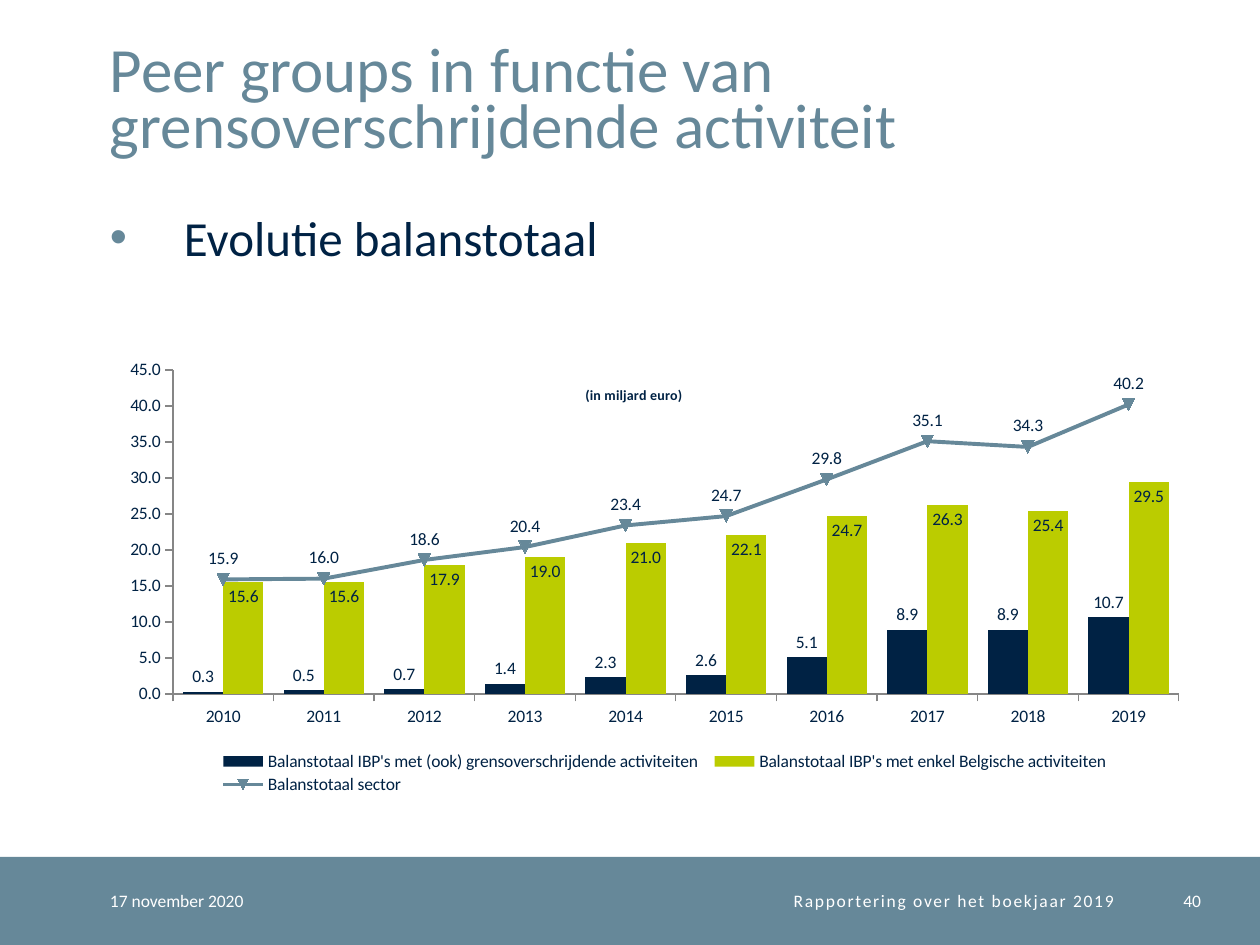
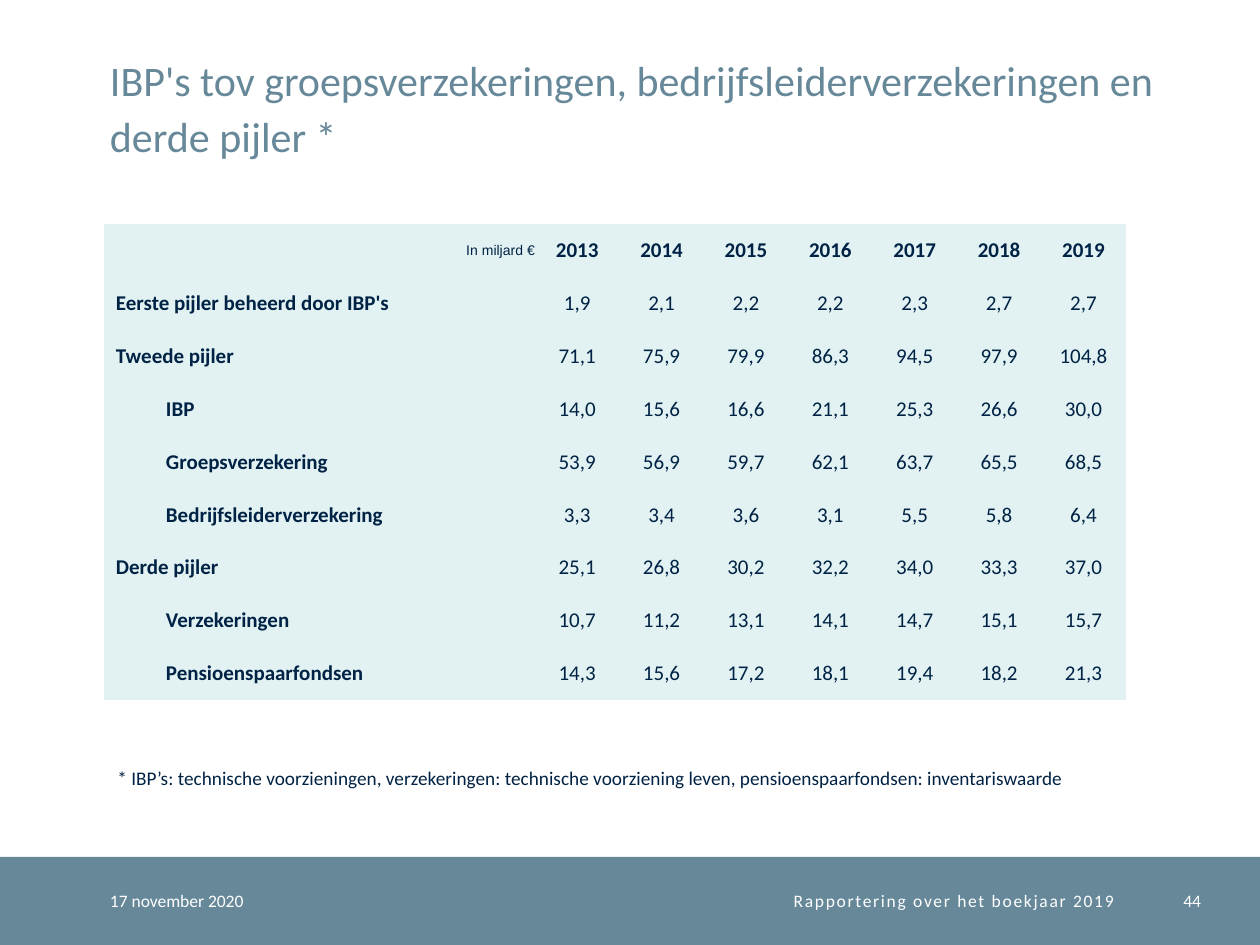
"""Build two slides on the balance totals of Belgian pension institutions."""
import pptx
import pptx.chart.data
import pptx.dml.color
import pptx.enum.chart
import pptx.enum.shapes
import pptx.enum.text
import pptx.oxml
import pptx.oxml.ns
import pptx.util

SLATE, NAVY, LIME, MINT, WHITE, GREY = "668899", "002244", "BBCC00", "E2F2F3", "FFFFFF", "868686"
SLIDE_SIZE = (1260, 945)
BAND = (0, 857, 1260, 88)
TITLE_BOX = (110, 25, 1087, 136)
BODY_BOX = (59, 212, 1138, 583)
CHART_BOX = (110, 304, 1091, 496)
PLOT_BOX = (173, 370, 1006, 324)
CHART_TITLE_AT = (583, 383)
LEGEND_BOX = (212, 748, 905, 50)
TABLE_BOX = (104, 224, 1022, 476)
LABEL_WIDTH = 431
NOTE_BOX = (105, 760, 1052, 37)

ALIGN = pptx.enum.text.PP_ALIGN
ANCHOR = pptx.enum.text.MSO_ANCHOR
POSITION = pptx.enum.chart.XL_LABEL_POSITION
qn = pptx.oxml.ns.qn

DATE = "17 november 2020"
REPORT = "Rapportering over het boekjaar 2019"

CHART_SLIDE = {
    "title": "Peer groups in functie van grensoverschrijdende activiteit",
    "bullet": "Evolutie balanstotaal",
    "unit": "(in miljard euro)",
    "years": [str(year) for year in range(2010, 2020)],
    "page": "40",
}
SERIES = [
    ("Balanstotaal IBP's met (ook) grensoverschrijdende activiteiten", NAVY, POSITION.OUTSIDE_END,
     [0.3, 0.5, 0.7, 1.4, 2.3, 2.6, 5.1, 8.9, 8.9, 10.7]),
    ("Balanstotaal IBP's met enkel Belgische activiteiten", LIME, POSITION.INSIDE_END,
     [15.6, 15.6, 17.9, 19, 21, 22.1, 24.7, 26.3, 25.4, 29.5]),
    ("Balanstotaal sector", SLATE, POSITION.ABOVE,
     [15.9, 16, 18.6, 20.4, 23.4, 24.7, 29.8, 35.1, 34.3, 40.2]),
]

TABLE_SLIDE = {
    "title": "IBP's tov groepsverzekeringen, bedrijfsleiderverzekeringen en derde pijler *",
    "note": "* IBP’s: technische voorzieningen, verzekeringen: technische voorziening leven, "
            "pensioenspaarfondsen: inventariswaarde",
    "page": "44",
}
TABLE_ROWS = [
    (0, "In miljard €", "2013 2014 2015 2016 2017 2018 2019"),
    (0, "Eerste pijler beheerd door IBP's", "1,9 2,1 2,2 2,2 2,3 2,7 2,7"),
    (0, "Tweede pijler", "71,1 75,9 79,9 86,3 94,5 97,9 104,8"),
    (1, "IBP", "14,0 15,6 16,6 21,1 25,3 26,6 30,0"),
    (1, "Groepsverzekering", "53,9 56,9 59,7 62,1 63,7 65,5 68,5"),
    (1, "Bedrijfsleiderverzekering", "3,3 3,4 3,6 3,1 5,5 5,8 6,4"),
    (0, "Derde pijler", "25,1 26,8 30,2 32,2 34,0 33,3 37,0"),
    (1, "Verzekeringen", "10,7 11,2 13,1 14,1 14,7 15,1 15,7"),
    (1, "Pensioenspaarfondsen", "14,3 15,6 17,2 18,1 19,4 18,2 21,3"),
]
INDENTS = (12, 62)
NO_STYLE = "{2D5ABB26-0587-4C30-8999-92F81FD0307C}"


def px(length):
    return pptx.util.Emu(round(length * 914400 / 126))


def box(lengths):
    return [px(length) for length in lengths]


def color(value):
    return pptx.dml.color.RGBColor.from_string(value)


def fill(item, value):
    item.fill.solid()
    item.fill.fore_color.rgb = color(value)


def set_font(font, size, value, bold=False, name="Calibri"):
    font.name, font.size, font.bold = name, pptx.util.Pt(size), bold
    font.color.rgb = color(value)


def write(frame, text, size, value, align=ALIGN.LEFT, **font):
    frame.text = text
    paragraph = frame.paragraphs[0]
    paragraph.alignment = align
    set_font(paragraph.font, size, value, **font)
    return paragraph


def clear_margins(item):
    item.margin_left = item.margin_top = item.margin_right = item.margin_bottom = 0


def place(shape, lengths, anchor):
    shape.left, shape.top, shape.width, shape.height = box(lengths)
    frame = shape.text_frame
    clear_margins(frame)
    frame.word_wrap = True
    frame.auto_size = pptx.enum.text.MSO_AUTO_SIZE.NONE
    frame.vertical_anchor = anchor
    return frame


def add_slide(presentation, layout, title, title_size, page):
    slide = presentation.slides.add_slide(presentation.slide_layouts[layout])
    frame = place(slide.shapes.title, TITLE_BOX, ANCHOR.BOTTOM)
    paragraph = write(frame, title, title_size, SLATE)
    paragraph.line_spacing = pptx.util.Pt(32)

    band = slide.shapes.add_shape(pptx.enum.shapes.MSO_SHAPE.RECTANGLE, *box(BAND))
    band.shadow.inherit = False
    fill(band, SLATE)
    band.line.fill.background()
    footers = [(DATE, 110, 223, ALIGN.LEFT, 0), (REPORT, 333, 781, ALIGN.RIGHT, 100),
               (page, 1139, 62, ALIGN.RIGHT, 0)]
    for text, left, width, align, spacing in footers:
        lengths = (left, BAND[1], width, BAND[3])
        frame = place(slide.shapes.add_textbox(*box(lengths)), lengths, ANCHOR.MIDDLE)
        paragraph = write(frame, text, 10, WHITE, align)
        paragraph._p.pPr.find(qn("a:defRPr")).set("spc", str(spacing))
    return slide


def add_bullet(slide, text):
    frame = place(slide.placeholders[1], BODY_BOX, ANCHOR.TOP)
    frame.text = text
    paragraph = frame.paragraphs[0]
    paragraph.line_spacing = pptx.util.Pt(30.8)
    paragraph.space_before, paragraph.space_after = 0, pptx.util.Pt(6)
    properties = paragraph._p.get_or_add_pPr()
    properties.set("marL", str(px(125)))
    properties.set("indent", str(px(-74)))
    namespace = pptx.oxml.ns.nsdecls("a")
    for xml in (f'<a:buClr {namespace}><a:srgbClr val="{SLATE}"/></a:buClr>',
                f'<a:buChar {namespace} char="•"/>'):
        properties.append(pptx.oxml.parse_xml(xml))
    set_font(paragraph.font, 28, NAVY)


def set_layout(element, left, top, width=None, height=None, inner=False):
    """Fix a chart part at a place on the slide, given in px."""
    chart_left, chart_top, chart_width, chart_height = CHART_BOX
    parts = [("xMode", "edge"), ("yMode", "edge"),
             ("x", round((left - chart_left) / chart_width, 4)),
             ("y", round((top - chart_top) / chart_height, 4))]
    if inner:
        parts.insert(0, ("layoutTarget", "inner"))
    if width:
        parts += [("w", round(width / chart_width, 4)), ("h", round(height / chart_height, 4))]
    children = "".join(f'<c:{tag} val="{value}"/>' for tag, value in parts)
    layout = pptx.oxml.parse_xml(
        f'<c:layout {pptx.oxml.ns.nsdecls("c")}><c:manualLayout>{children}</c:manualLayout></c:layout>')
    present = element.find(qn("c:layout"))
    if present is None:
        element.insert(0, layout)
    else:
        element.replace(present, layout)


def move_last_series_to_line(chart):
    bar = chart.plots[0]._element
    series = bar.findall(qn("c:ser"))[-1]
    inverted = series.find(qn("c:invertIfNegative"))
    if inverted is not None:
        series.remove(inverted)
    axes = "".join(f'<c:axId val="{axis.get("val")}"/>' for axis in bar.findall(qn("c:axId")))
    line = pptx.oxml.parse_xml(
        f'<c:lineChart {pptx.oxml.ns.nsdecls("c")}><c:grouping val="standard"/>'
        f'<c:varyColors val="0"/><c:marker val="1"/>{axes}</c:lineChart>')
    line.insert(2, series)
    bar.addnext(line)


def style_axis(axis):
    axis.has_major_gridlines = False
    axis.major_tick_mark = pptx.enum.chart.XL_TICK_MARK.OUTSIDE
    axis.format.line.color.rgb = color(GREY)
    axis.format.line.width = pptx.util.Pt(0.75)
    set_font(axis.tick_labels.font, 10, NAVY)


def add_balance_chart(slide, years, unit):
    data = pptx.chart.data.CategoryChartData(number_format="0.0")
    data.categories = years
    for name, _, _, values in SERIES:
        data.add_series(name, values)
    kind = pptx.enum.chart.XL_CHART_TYPE.COLUMN_CLUSTERED
    chart = slide.shapes.add_chart(kind, *box(CHART_BOX), data).chart
    set_font(chart.font, 10, NAVY)
    move_last_series_to_line(chart)
    columns, line = chart.plots
    columns.gap_width, columns.overlap = 50, 0
    columns.vary_by_categories = False

    for series, (_, value, position, _) in zip([*columns.series, *line.series], SERIES):
        labels = series.data_labels
        labels.show_value = True
        labels.number_format, labels.number_format_is_linked = "#,##0.0", False
        labels.position = position
        set_font(labels.font, 10, NAVY)
    for series, (_, value, _, _) in zip(columns.series, SERIES):
        fill(series.format, value)
    sector = line.series[0]
    sector.smooth = False
    sector.format.line.color.rgb = color(SLATE)
    sector.format.line.width = pptx.util.Pt(2.25)
    sector.marker.style = pptx.enum.chart.XL_MARKER_STYLE.AUTOMATIC
    sector.marker.size = 7
    fill(sector.marker.format, SLATE)

    style_axis(chart.category_axis)
    style_axis(chart.value_axis)
    chart.value_axis.minimum_scale, chart.value_axis.maximum_scale = 0, 45
    chart.value_axis.major_unit = 5
    chart.value_axis.tick_labels.number_format = "0.0"
    chart.value_axis.tick_labels.number_format_is_linked = False

    chart.has_title = True
    write(chart.chart_title.text_frame, unit, 8, NAVY, ALIGN.CENTER, bold=True)
    chart.has_legend = True
    chart.legend.position = pptx.enum.chart.XL_LEGEND_POSITION.BOTTOM
    chart.legend.include_in_layout = False
    set_font(chart.legend.font, 10, NAVY)
    set_layout(chart.chart_title._element, *CHART_TITLE_AT)
    set_layout(chart.legend._element, *LEGEND_BOX)
    set_layout(columns._element.getparent(), *PLOT_BOX, inner=True)


def add_pillar_table(slide):
    year_count = len(TABLE_ROWS[0][2].split())
    table = slide.shapes.add_table(len(TABLE_ROWS), year_count + 1, *box(TABLE_BOX)).table
    table.first_row = table.horz_banding = False
    table._tbl.tblPr.find(qn("a:tableStyleId")).text = NO_STYLE
    for index, column in enumerate(table.columns):
        column.width = px((TABLE_BOX[2] - LABEL_WIDTH) / year_count if index else LABEL_WIDTH)
    for row, (level, label, values) in enumerate(TABLE_ROWS):
        for column, text in enumerate([label, *values.split()]):
            cell = table.cell(row, column)
            fill(cell, MINT)
            clear_margins(cell)
            cell.vertical_anchor = ANCHOR.MIDDLE
            if column:
                write(cell.text_frame, text, 12, NAVY, ALIGN.CENTER, bold=row == 0)
                continue
            cell.margin_left = px(INDENTS[level])
            if row:
                write(cell.text_frame, text, 12, NAVY, bold=True)
            else:
                write(cell.text_frame, text, 8, NAVY, ALIGN.RIGHT, name="Arial")


def main():
    presentation = pptx.Presentation()
    presentation.slide_width, presentation.slide_height = box(SLIDE_SIZE)

    slide = add_slide(presentation, 1, CHART_SLIDE["title"], 36, CHART_SLIDE["page"])
    add_bullet(slide, CHART_SLIDE["bullet"])
    add_balance_chart(slide, CHART_SLIDE["years"], CHART_SLIDE["unit"])

    slide = add_slide(presentation, 5, TABLE_SLIDE["title"], 24, TABLE_SLIDE["page"])
    add_pillar_table(slide)
    note = slide.shapes.add_textbox(*box(NOTE_BOX)).text_frame
    note.word_wrap = True
    write(note, TABLE_SLIDE["note"], 11, NAVY)

    presentation.save("out.pptx")


if __name__ == "__main__":
    main()
